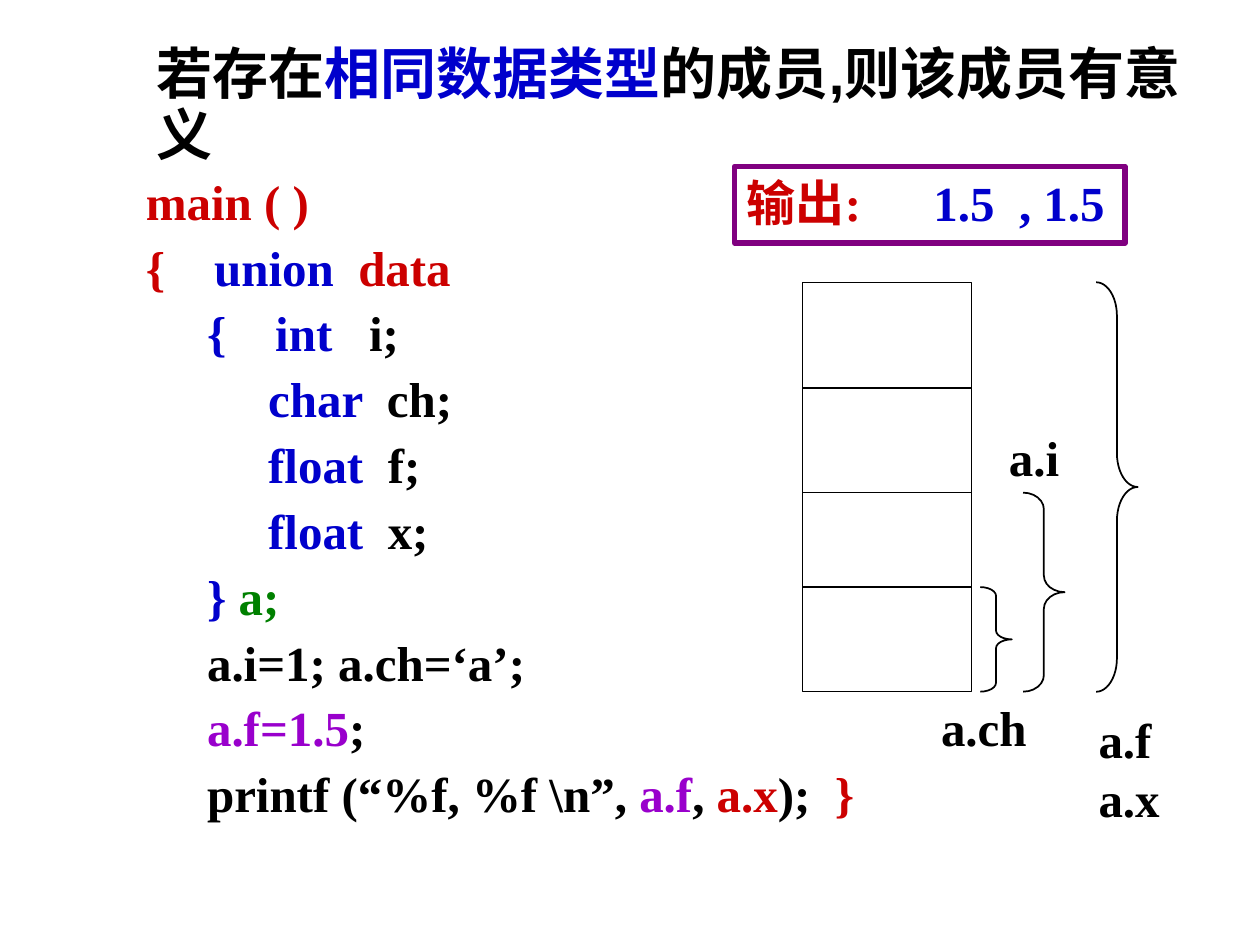
from pptx import Presentation
from pptx import util as u
from pptx.dml.color import RGBColor
from pptx.enum import shapes, text
from pptx.oxml.ns import qn
from lxml import etree

BLACK, BLUE, RED, GREEN = "000000", "0000CC", "CC0000", "008000"
VIOLET, PURPLE = "9900CC", "800080"


def paint(target, shade):
    target.rgb = RGBColor.from_string(shade)


def write(frame, rows, size=28, font="Times New Roman", before=0, lead=None, tab=None):
    frame.word_wrap = True
    frame.vertical_anchor = text.MSO_ANCHOR.TOP
    for n, row in enumerate(rows):
        para = frame.paragraphs[0] if n == 0 else frame.add_paragraph()
        para.alignment = text.PP_ALIGN.LEFT
        if n:
            para.space_before = u.Pt(before)
        if lead:
            para.line_spacing = lead
        if tab:
            stops = etree.SubElement(para._p.get_or_add_pPr(), qn("a:tabLst"))
            etree.SubElement(stops, qn("a:tab"), pos=str(u.Inches(tab)), algn="l")
        for words, shade in row:
            run = para.add_run()
            run.text = words
            run.font.size = u.Pt(size)
            run.font.name = font
            run.font.bold = True
            paint(run.font.color, shade)


class Board:
    def __init__(self, slide, ink=BLACK):
        self.slide = slide
        self.ink = ink

    def label(self, x, y, w, h, rows, **form):
        box = self.slide.shapes.add_textbox(*map(u.Inches, (x, y, w, h)))
        write(box.text_frame, rows, **form)

    def shape(self, kind, x, y, w, h, weight, shade=None):
        item = self.slide.shapes.add_shape(kind, *map(u.Inches, (x, y, w, h)))
        item.shadow.inherit = False
        item.fill.background()
        item.line.width = u.Pt(weight)
        paint(item.line.color, shade or self.ink)
        return item

    def frame(self, x, y, w, h, weight, shade=None):
        return self.shape(shapes.MSO_SHAPE.RECTANGLE, x, y, w, h, weight, shade)

    def brace(self, x, top, w, end, curl):
        item = self.shape(shapes.MSO_SHAPE.RIGHT_BRACE, x, top, w, end - top, 1)
        item.adjustments[0] = curl
        item.adjustments[1] = 0.5

    def rule(self, x, y, w):
        line = self.slide.shapes.add_connector(
            shapes.MSO_CONNECTOR.STRAIGHT, *map(u.Inches, (x, y, x + w, y)))
        line.line.width = u.Pt(0.75)
        paint(line.line.color, self.ink)
        etree.SubElement(line._element.spPr, qn("a:effectLst"))


def main():
    deck = Presentation()
    deck.slide_width, deck.slide_height = u.Inches(10), u.Inches(7.5)
    board = Board(deck.slides.add_slide(deck.slide_layouts[6]))

    code = [
        [("main ( )", RED)],
        [("{", RED), ("    union  ", BLUE), ("data", RED)],
        [("     {    int", BLUE), ("   i;", BLACK)],
        [("          char ", BLUE), (" ch;", BLACK)],
        [("          float  ", BLUE), ("f;", BLACK)],
        [("          float  ", BLUE), ("x;", BLACK)],
        [("     } ", BLUE), ("a;", GREEN)],
        [("     a.i=1; a.ch=‘a’;", BLACK)],
        [("     a.f=1.5", VIOLET), (";", BLACK)],
        [(r"     printf (“%f, %f \n”, ", BLACK), ("a.f", VIOLET), (", ", BLACK),
         ("a.x", RED), (");  ", BLACK), ("}", RED)],
    ]
    board.label(1.06, 1.31, 7.16, 5.19, code, before=4)

    left, wide, top, end = 6.37, 1.34, 2.24, 5.49
    cuts = (3.08, 3.91, 4.66)
    board.frame(left, top, wide, end - top, 0.75)
    for y in cuts:
        board.rule(left, y, wide)

    board.brace(7.78, cuts[2], 0.25, end, 0.28)
    board.brace(8.12, cuts[1], 0.33, end, 0.4)
    board.brace(8.7, top, 0.33, end, 0.81)

    for x, y, w, h, words in (
        (7.37, 5.49, 1.02, 0.57, "a.ch"),
        (7.91, 3.34, 0.67, 0.57, "a.i"),
        (8.62, 5.58, 0.95, 1.03, "a.f a.x"),
    ):
        board.label(x, y, w, h, [[(words, BLACK)]])

    title = [("若存在", BLACK), ("相同数据类型", BLUE), ("的成员,则该成员有意义", BLACK)]
    board.label(1.14, 0.32, 8.6, 0.58, [title], size=32, font="Arial", lead=0.9)

    result = board.frame(5.83, 1.32, 3.1, 0.61, 3, PURPLE)
    write(result.text_frame, [[("输出:\t", RED), ("1.5  , 1.5", BLUE)]], tab=1.48)

    deck.save("out.pptx")


if __name__ == "__main__":
    main()
